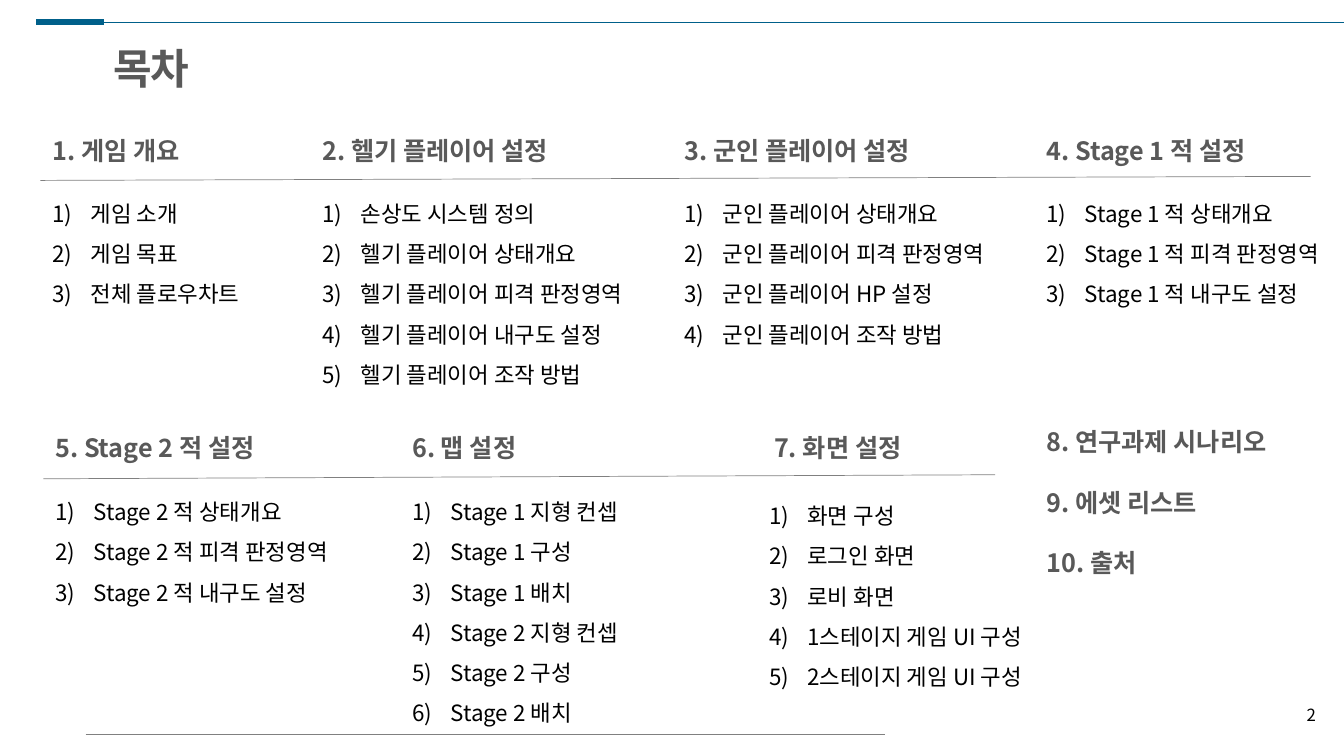
from lxml.etree import SubElement
from pptx import Presentation
from pptx.dml.color import RGBColor
from pptx.enum.shapes import MSO_CONNECTOR
from pptx.enum.text import MSO_ANCHOR, MSO_AUTO_SIZE, PP_ALIGN
from pptx.oxml.ns import qn
from pptx.util import Inches, Pt

FONT = "Noto Sans CJK KR"
BLUE, GRAY, DARK, BLACK = "00608A", "808080", "595959", "000000"
HEADING = {"size": Pt(18), "bold": True}
ITEM = {"size": Pt(16), "bold": False}


def add_rule(page, start, end, color, width):
    rule = page.shapes.add_connector(
        MSO_CONNECTOR.STRAIGHT, *[Inches(value) for value in start + end])
    rule.line.color.rgb = RGBColor.from_string(color)
    rule.line.width = Pt(width)
    SubElement(rule._element.spPr, qn("a:effectLst"))


def write(box, place, lines, style, color, anchor=MSO_ANCHOR.MIDDLE,
          align=PP_ALIGN.LEFT, spacing=1.0, numbered=False, wrap=True):
    """Place a box and fill it with one paragraph per line."""
    box.left, box.top, box.width, box.height = [Inches(value) for value in place]
    frame = box.text_frame
    frame.word_wrap = wrap
    frame.auto_size = MSO_AUTO_SIZE.SHAPE_TO_FIT_TEXT
    frame.vertical_anchor = anchor
    for index, line in enumerate(lines):
        para = frame.add_paragraph() if index else frame.paragraphs[0]
        para.alignment = align
        para.line_spacing = spacing
        if numbered:
            props = para._p.get_or_add_pPr()
            props.set("marL", str(Inches(0.38)))
            props.set("indent", str(-Inches(0.38)))
            SubElement(props, qn("a:buFont"), typeface="+mj-lt")
            SubElement(props, qn("a:buAutoNum"), type="arabicParenR")
        span = para.add_run()
        span.text = line
        span.font.name = FONT
        span.font.color.rgb = RGBColor.from_string(color)
        for name, value in style.items():
            setattr(span.font, name, value)
        SubElement(span._r.get_or_add_rPr(), qn("a:ea"), typeface=FONT)


deck = Presentation()
deck.slide_width, deck.slide_height = Inches(13.33), Inches(7.5)
page = deck.slides.add_slide(deck.slide_layouts[5])

rules = [
    ((0.36, 0.22), (13.33, 0.22), BLUE, 0.5),
    ((0.36, 0.22), (1.03, 0.22), BLUE, 4.5),
    ((0.85, 7.29), (8.78, 7.29), GRAY, 0.5),
    ((13, 1.75), (0.4, 1.79), GRAY, 0.5),
    ((9.87, 4.71), (0.43, 4.75), GRAY, 0.5),
]
for rule in rules:
    add_rule(page, *rule)

title = page.shapes.title
write(title, (1.03, 0.37, 1, 0.61), ["목차"], {"size": Pt(30), "bold": True},
      DARK, anchor=MSO_ANCHOR.TOP, wrap=False)
title.text_frame.paragraphs[0].runs[0].font._element.set("spc", "-150")

# heading, heading left and top, list left and top, items
sections = [
    ("1. 게임 개요", 0.42, 1.29, 0.42, 1.8,
     ["게임 소개", "게임 목표", "전체 플로우차트"]),
    ("2. 헬기 플레이어 설정", 3.1, 1.29, 3.1, 1.8,
     ["손상도 시스템 정의", "헬기 플레이어 상태개요", "헬기 플레이어 피격 판정영역",
      "헬기 플레이어 내구도 설정", "헬기 플레이어 조작 방법"]),
    ("3. 군인 플레이어 설정", 6.69, 1.29, 6.69, 1.8,
     ["군인 플레이어 상태개요", "군인 플레이어 피격 판정영역",
      "군인 플레이어 HP 설정", "군인 플레이어 조작 방법"]),
    ("4. Stage 1 적 설정", 10.28, 1.29, 10.28, 1.8,
     ["Stage 1 적 상태개요", "Stage 1 적 피격 판정영역", "Stage 1 적 내구도 설정"]),
    ("5. Stage 2 적 설정", 0.45, 4.24, 0.45, 4.76,
     ["Stage 2 적 상태개요", "Stage 2 적 피격 판정영역", "Stage 2 적 내구도 설정"]),
    ("6. 맵 설정", 3.99, 4.24, 3.99, 4.76,
     ["Stage 1 지형 컨셉", "Stage 1 구성", "Stage 1 배치",
      "Stage 2 지형 컨셉", "Stage 2 구성", "Stage 2 배치"]),
    ("7. 화면 설정", 7.58, 4.24, 7.53, 4.8,
     ["화면 구성", "로그인 화면", "로비 화면",
      "1스테이지 게임 UI 구성", "2스테이지 게임 UI 구성"]),
]
for heading, left, top, list_left, list_top, items in sections:
    write(page.shapes.add_textbox(0, 0, 0, 0), (left, top, 3, 0.4),
          [heading], HEADING, DARK)
    write(page.shapes.add_textbox(0, 0, 0, 0),
          (list_left, list_top, 3.5, 0.05 + 0.4 * len(items)), items, ITEM, BLACK,
          anchor=MSO_ANCHOR.TOP, spacing=1.5, numbered=True)

write(page.shapes.add_textbox(0, 0, 0, 0), (10.28, 3.92, 2.86, 1.82),
      ["8. 연구과제 시나리오", "9. 에셋 리스트", "10. 출처"], HEADING, DARK, spacing=2.0)
write(page.shapes.add_textbox(0, 0, 0, 0), (12.72, 6.89, 0.43, 0.4),
      ["2"], {"size": Pt(12)}, BLACK, align=PP_ALIGN.RIGHT)

deck.save("out.pptx")
